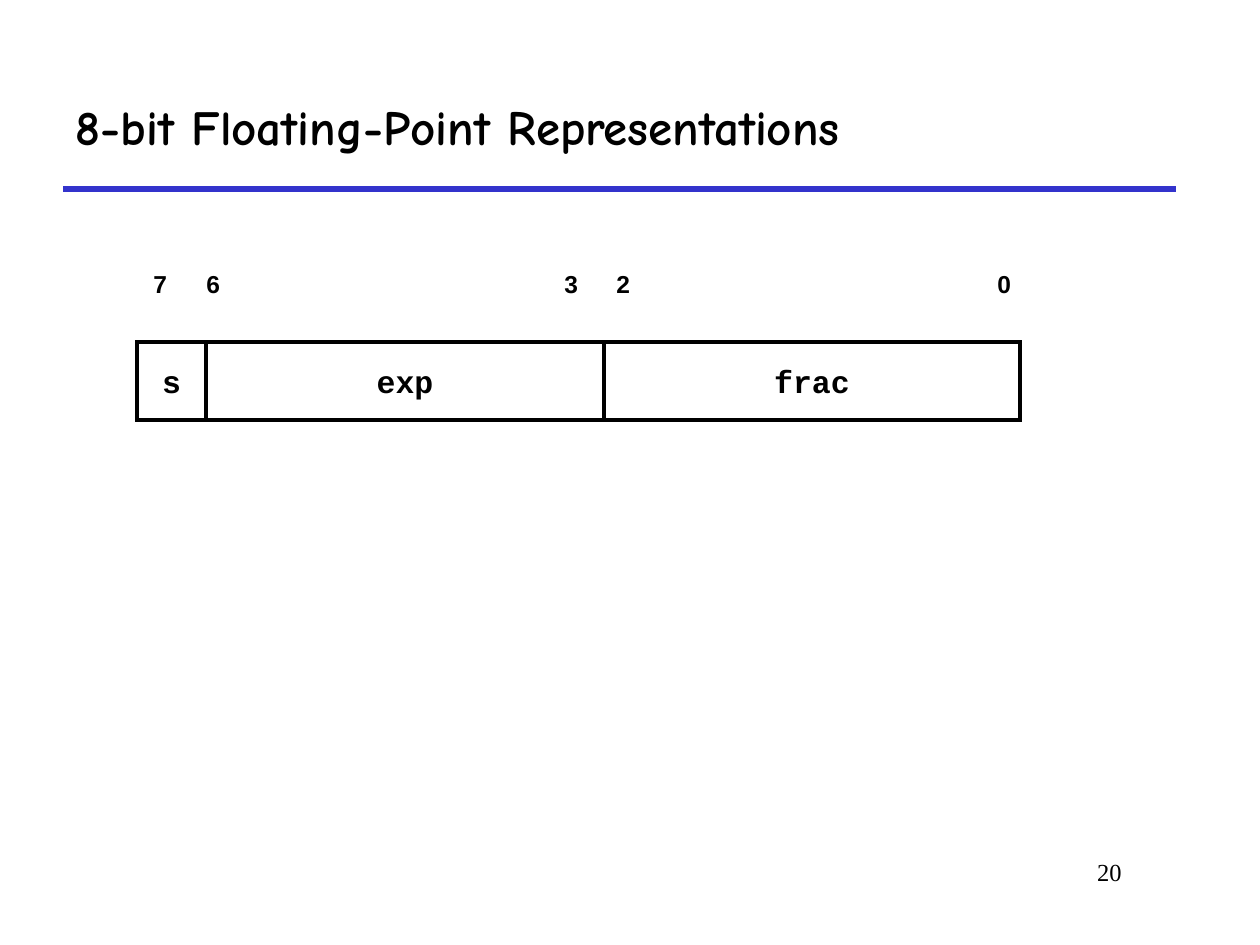
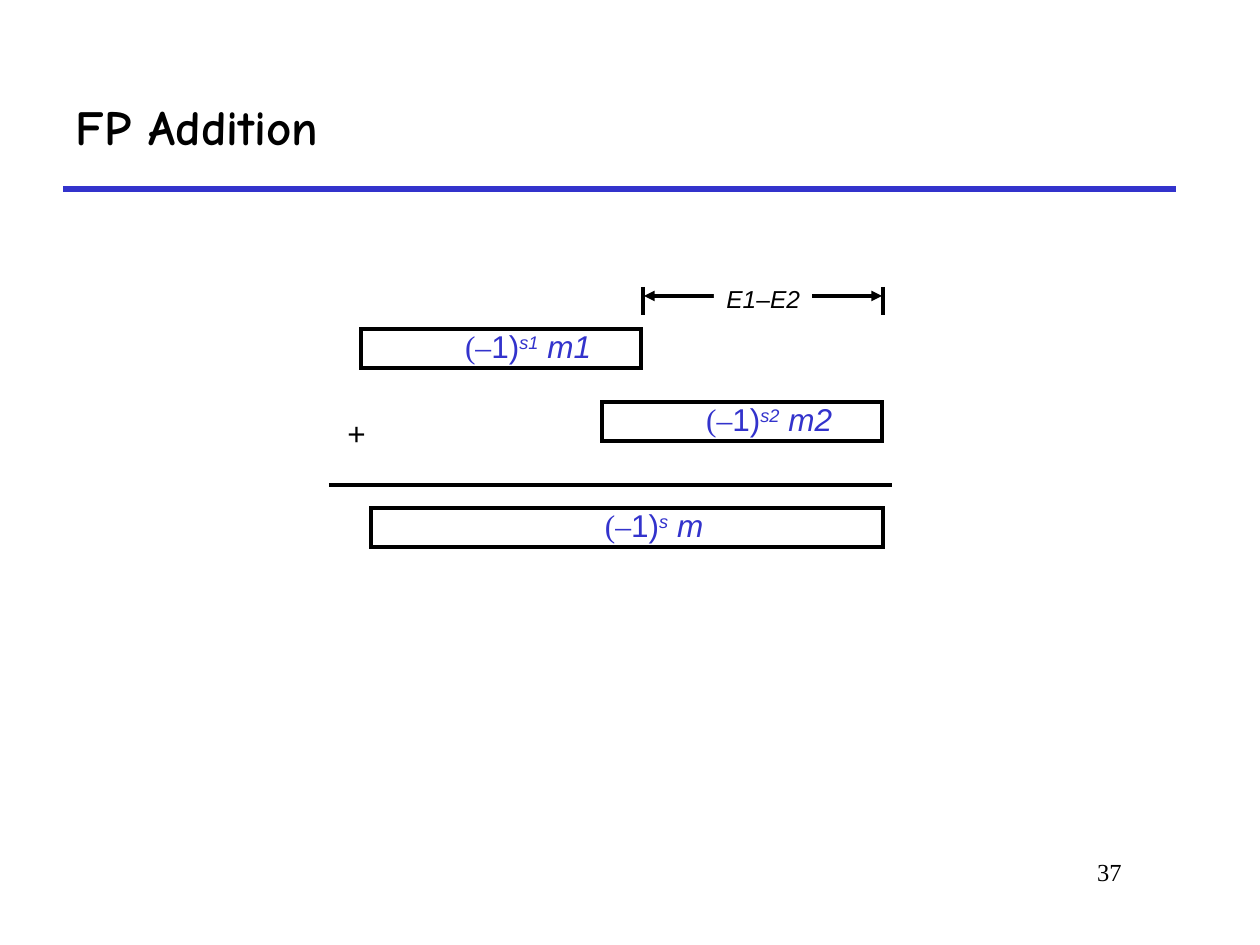
import pptx
import pptx.util
import pptx.dml.color
import pptx.enum.shapes
import pptx.enum.text
import pptx.oxml.ns
import lxml.etree

PX = 914400 / 126  # EMU in one px
SLIDE = (1260, 945)
COLORS = {"ink": "000000", "paper": "FFFFFF", "accent": "3333CC"}
TITLE_FONT, SANS, MONO, SERIF = "Comic Neue", "Arial", "Courier New", "Times New Roman"
LEFT, CENTER, RIGHT = (pptx.enum.text.PP_ALIGN.LEFT, pptx.enum.text.PP_ALIGN.CENTER,
                       pptx.enum.text.PP_ALIGN.RIGHT)

# Shared frame: left, top, width, height
TITLE_AT = (63, 63, 1113, 126)
PAGE_AT = (955, 851, 179, 63)

# Floating-point format: name, font, width of each field
FORMAT = {"title": "8-bit Floating-Point Representations", "page": "20"}
FIELDS = [("s", SANS, 69), ("exp", MONO, 398), ("frac", MONO, 416)]
FIELDS_LEFT, FIELDS_TOP, FIELDS_HEIGHT = 137, 342, 78
BITS = [("7", 141), ("6", 194), ("3", 552), ("2", 604), ("0", 985)]
BITS_TOP = 263

# Addition: exponent, mantissa, left, top, width of each term
ADDITION = {"title": "FP Addition", "page": "37"}
TERMS = [("s1", "m1", 361, 329, 280), ("s2", "m2", 602, 402, 280), ("s", "m", 371, 508, 512)]
TERM_HEIGHT = 39
SHIFT = [("E1", True), ("–", False), ("E2", True)]
SHIFT_AT = (714, 278, 98, 42)
SHIFT_LEFT, SHIFT_RIGHT, SHIFT_Y = 643, 883, 296
TICK_TOP, TICK_BOTTOM = 287, 315
SUM_LINE = (329, 485, 892, 485)


def px(*lengths):
    return [pptx.util.Emu(round(length * PX)) for length in lengths]


def rgb(name):
    return pptx.dml.color.RGBColor.from_string(COLORS[name])


def style(font, name, size, color="ink", bold=False):
    font.name, font.size, font.bold = name, pptx.util.Pt(size), bold
    font.color.rgb = rgb(color)


def add_line(slide, x1, y1, x2, y2, color="ink", width=2, arrows=False):
    line = slide.shapes.add_connector(
        pptx.enum.shapes.MSO_CONNECTOR.STRAIGHT, *px(x1, y1, x2, y2))
    line.line.color.rgb = rgb(color)
    line.line.width = pptx.util.Pt(width)
    if arrows:
        for end in ("a:headEnd", "a:tailEnd"):
            lxml.etree.SubElement(line.line._get_or_add_ln(), pptx.oxml.ns.qn(end),
                                  type="triangle")
    lxml.etree.SubElement(line._element.spPr, pptx.oxml.ns.qn("a:effectLst"))


def add_box(slide, *place):
    """Outlined white rectangle; returns its paragraph."""
    box = slide.shapes.add_shape(pptx.enum.shapes.MSO_SHAPE.RECTANGLE, *px(*place))
    box.shadow.inherit = False
    box.fill.solid()
    box.fill.fore_color.rgb = rgb("paper")
    box.line.color.rgb = rgb("ink")
    box.line.width = pptx.util.Pt(2)
    lxml.etree.SubElement(box.line._get_or_add_ln(), pptx.oxml.ns.qn("a:miter"), lim="800000")
    box.text_frame.word_wrap = False
    box.text_frame.vertical_anchor = pptx.enum.text.MSO_ANCHOR.MIDDLE
    paragraph = box.text_frame.paragraphs[0]
    paragraph.alignment = CENTER
    return paragraph


def add_label(slide, text, place, size, name=SANS, bold=False, align=LEFT, wrap=False):
    label = slide.shapes.add_textbox(*px(*place))
    label.text_frame.word_wrap = wrap
    if not wrap:
        label.text_frame.auto_size = pptx.enum.text.MSO_AUTO_SIZE.SHAPE_TO_FIT_TEXT
    paragraph = label.text_frame.paragraphs[0]
    paragraph.text, paragraph.alignment = text, align
    style(paragraph.font, name, size, bold=bold)
    return label


def add_slide(deck, title, page):
    """Slide with title, rule and page number."""
    slide = deck.slides.add_slide(deck.slide_layouts[5])
    heading = slide.shapes.title
    heading.left, heading.top, heading.width, heading.height = px(*TITLE_AT)
    heading.text_frame.text = title
    heading.text_frame.vertical_anchor = pptx.enum.text.MSO_ANCHOR.MIDDLE
    paragraph = heading.text_frame.paragraphs[0]
    paragraph.alignment = LEFT
    style(paragraph.font, TITLE_FONT, 28, bold=True)
    left, top, width, height = TITLE_AT
    add_line(slide, left, top + height, left + width, top + height, "accent", 3)
    add_label(slide, page, PAGE_AT, 14, SERIF, align=RIGHT, wrap=True)
    return slide


def add_term(slide, exponent, mantissa, left, top, width):
    paragraph = add_box(slide, left, top, width, TERM_HEIGHT)
    paragraph.line_spacing = 0.9
    paragraph.space_before = pptx.util.Pt(6.8)
    indent = paragraph._p.get_or_add_pPr()
    indent.set("marL", str(px(63)[0]))
    indent.set("indent", "0")
    style(paragraph.font, SANS, 18, "accent")
    for text, name, italic, raised in [("(–", SERIF, False, False), ("1)", SANS, False, False),
                                       (exponent, SANS, True, True),
                                       (f" {mantissa} ", SANS, True, False)]:
        run = paragraph.add_run()
        run.text, run.font.name, run.font.italic = text, name, italic
        if raised:
            run.font._element.set("baseline", "30000")


def build_format(deck):
    slide = add_slide(deck, **FORMAT)
    left = FIELDS_LEFT
    for field, name, width in FIELDS:
        paragraph = add_box(slide, left, FIELDS_TOP, width, FIELDS_HEIGHT)
        paragraph.text = field
        style(paragraph.font, name, 18, bold=True)
        left += width
    for bit, bit_left in BITS:
        add_label(slide, bit, (bit_left, BITS_TOP, 39, 43), 14, bold=True)


def build_addition(deck):
    slide = add_slide(deck, **ADDITION)
    for term in TERMS:
        add_term(slide, *term)

    # Exponent difference, on one line over the arrow
    for x in (SHIFT_LEFT, SHIFT_RIGHT):
        add_line(slide, x, TICK_TOP, x, TICK_BOTTOM)
    add_line(slide, SHIFT_LEFT + 1, SHIFT_Y, SHIFT_RIGHT - 1, SHIFT_Y, arrows=True)
    difference = add_label(slide, "", SHIFT_AT, 14, wrap=True)
    difference.text_frame.margin_right = 0
    difference.fill.solid()
    difference.fill.fore_color.rgb = rgb("paper")
    for text, italic in SHIFT:
        run = difference.text_frame.paragraphs[0].add_run()
        run.text, run.font.italic = text, italic

    # Plus sign and sum line
    add_label(slide, "+", (335, 408, 43, 50), 18)
    add_line(slide, *SUM_LINE)


def main():
    deck = pptx.Presentation()
    deck.slide_width, deck.slide_height = px(*SLIDE)
    build_format(deck)
    build_addition(deck)
    deck.save("out.pptx")


if __name__ == "__main__":
    main()
